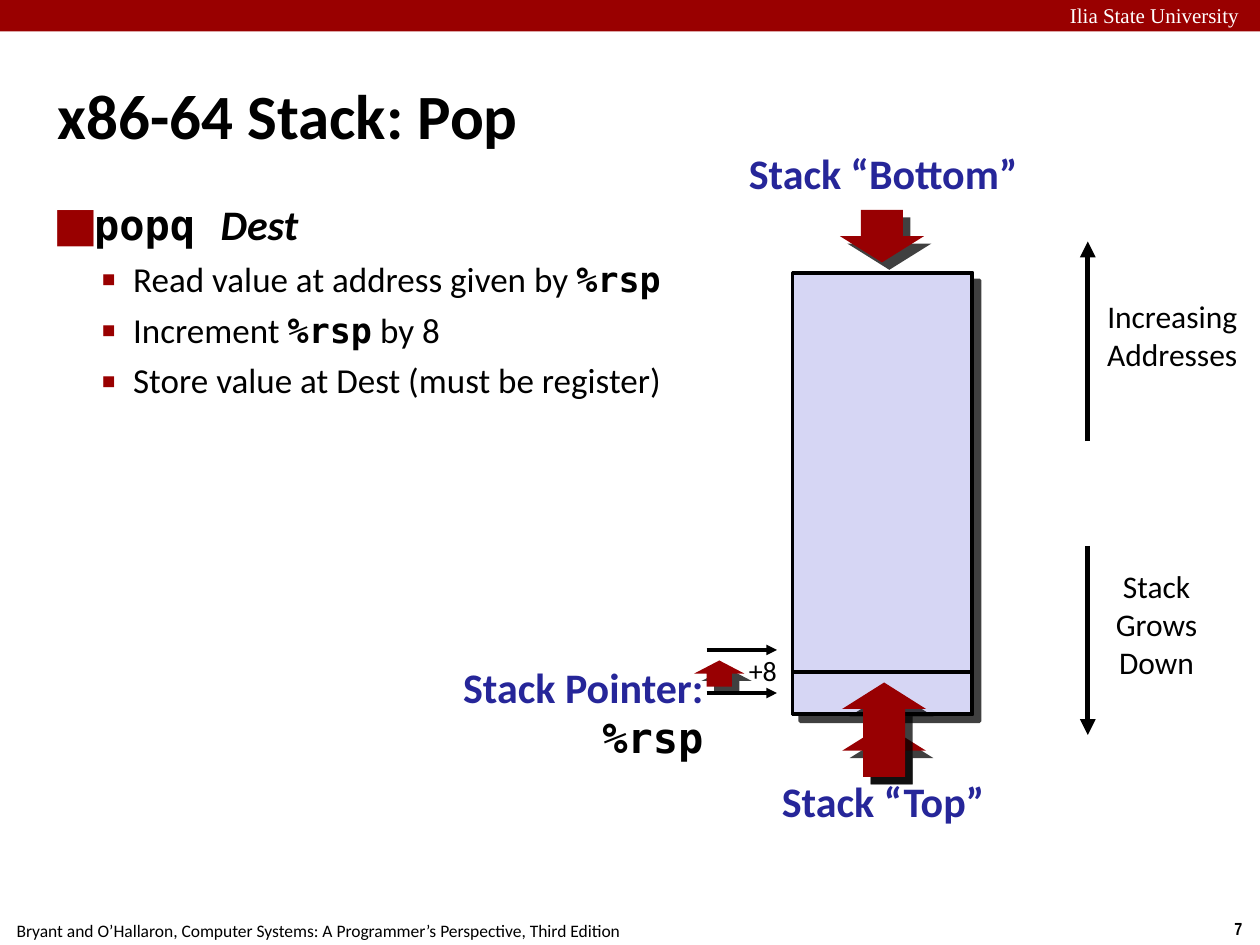
from dataclasses import dataclass

from lxml.etree import SubElement
from pptx import Presentation
from pptx.dml.color import RGBColor as RGB
from pptx.enum.shapes import MSO_CONNECTOR as CONN, MSO_SHAPE as SHAPE
from pptx.enum.text import MSO_ANCHOR as ANCHOR, PP_ALIGN as ALIGN
from pptx.oxml.ns import qn
from pptx.util import Inches, Pt


@dataclass(frozen=True)
class Theme:
    """Colours, fonts, type sizes and line widths."""
    black: str = "000000"
    white: str = "FFFFFF"
    banner: str = "990000"
    arrow: str = "980002"
    stack: str = "D6D6F4"
    label: str = "262699"
    sans: str = "Calibri"
    mono: str = "DejaVu Sans Mono"
    narrow: str = "Arial Narrow"
    serif: str = "Times New Roman"
    title: int = 36
    head: int = 24
    body: int = 20
    note: int = 18
    step: int = 16
    brand: int = 12
    foot: int = 10
    thin: int = 2
    thick: int = 3


T = Theme()


def font(size, name=T.sans, color=T.black, **extra):
    """Return a dict of font values."""
    return dict(size=Pt(size), name=name, color=color, **extra)


def grid(*cells):
    """Turn cells of a 120 by 90 grid into lengths."""
    return [Inches(c / 12) for c in cells]


def add_runs(p, runs):
    """Add (text, font values) pairs to a paragraph."""
    for text, values in runs:
        r = p.add_run()
        r.text = text
        for key, value in values.items():
            if key == "color":
                r.font.color.rgb = RGB.from_string(value)
            else:
                setattr(r.font, key, value)


def write(tf, paragraphs, align=ALIGN.CENTER, inset=(0, 0), anchor=ANCHOR.TOP):
    """Fill a text frame with paragraphs made of runs."""
    dx, dy = inset
    frame = dict(word_wrap=True, vertical_anchor=anchor,
                 margin_left=Inches(dx), margin_right=Inches(dx),
                 margin_top=Inches(dy), margin_bottom=Inches(dy))
    for key, value in frame.items():
        setattr(tf, key, value)
    for i, runs in enumerate(paragraphs):
        p = tf.add_paragraph() if i else tf.paragraphs[0]
        p.alignment = align
        add_runs(p, runs)


def add_text(shapes, cells, paragraphs, **layout):
    """Add a text box on the grid."""
    tf = shapes.add_textbox(*grid(*cells)).text_frame
    write(tf, paragraphs, **layout)
    return tf


def paint(sp, fill, line=None, shadow=False):
    """Set fill, outline and an optional hard shadow."""
    sp.shadow.inherit = False
    sp.fill.solid()
    sp.fill.fore_color.rgb = RGB.from_string(fill)
    if line:
        sp.line.color.rgb = RGB.from_string(line)
        sp.line.width = Pt(T.thin)
    else:
        sp.line.fill.background()
    if shadow:
        effects = sp.element.spPr.find(qn("a:effectLst"))
        outer = SubElement(effects, qn("a:outerShdw"), dist=str(Pt(6)),
                           dir="2700000", algn="ctr", rotWithShape="0")
        color = SubElement(outer, qn("a:srgbClr"), val=T.black)
        SubElement(color, qn("a:alpha"), val="75000")


def add_rect(shapes, cells, fill, **look):
    """Add a rectangle on the grid."""
    sp = shapes.add_shape(SHAPE.RECTANGLE, *grid(*cells))
    paint(sp, fill, **look)
    return sp


def add_line(shapes, ends, width=T.thin, arrow=True):
    """Add a straight line, by default with an arrowhead at its end."""
    sp = shapes.add_connector(CONN.STRAIGHT, *grid(*ends))
    sp.line.color.rgb = RGB.from_string(T.black)
    sp.line.width = Pt(width)
    if arrow:
        SubElement(sp.line._get_or_add_ln(), qn("a:tailEnd"), type="triangle")
    SubElement(sp.element.spPr, qn("a:effectLst"))


def add_block_arrow(shapes, cells, head=0.5, up=False):
    """Add a block arrow whose head takes the given share of its height."""
    x, y, w, h = grid(*cells)
    neck = 1 - head
    shares = [(0, neck), (0.25, neck), (0.25, 0), (0.75, 0),
              (0.75, neck), (1, neck), (0.5, 1)]
    points = [(int(x + w * a), int(y + h * b)) for a, b in shares]
    builder = shapes.build_freeform(*points[0])
    builder.add_line_segments(points[1:], close=True)
    sp = builder.convert_to_shape()
    sp.rotation = 180 if up else 0
    paint(sp, T.arrow, shadow=True)


def set_bullet(p, char, left, hang, percent, level=0):
    """Give a paragraph a coloured bullet and a hanging indent."""
    p.level = level
    pPr = p._p.get_or_add_pPr()
    pPr.set("marL", str(Inches(left)))
    pPr.set("indent", str(-Inches(hang)))
    SubElement(SubElement(pPr, qn("a:buClr")), qn("a:srgbClr"), val=T.banner)
    SubElement(pPr, qn("a:buSzPct"), val=str(percent * 1000))
    SubElement(pPr, qn("a:buFont"), typeface=T.mono)
    SubElement(pPr, qn("a:buChar"), char=char)


def add_frame(s):
    """Add banner, title and footer."""
    add_rect(s.shapes, (0, 0, 120.1, 3), T.banner)
    add_text(s.shapes, (101.9, 0.2, 21.4, 2.3),
             [[("Ilia State University", font(T.brand, T.serif, T.white))]], align=ALIGN.LEFT)
    title = s.shapes.title
    title.left, title.top, title.width, title.height = grid(5, 3.4, 110, 15)
    write(title.text_frame, [[("x86-64 Stack: Pop", font(T.title, bold=True))]],
          align=ALIGN.LEFT, inset=(0.04, 0.04), anchor=ANCHOR.MIDDLE)
    add_text(s.shapes, (115.9, 86.8, 4.1, 3.2),
             [[("7", font(T.foot, T.narrow, bold=True))]], inset=(0.1, 0.05))
    add_text(s.shapes, (-0.2, 87, 61, 3.2),
             [[("Bryant and O’Hallaron, Computer Systems: A Programmer’s Perspective, "
                "Third Edition", font(T.foot))]], inset=(0.1, 0.05))


def add_body(s):
    """Add the instruction and its steps."""
    plain, code = font(T.body), font(T.body, T.mono, bold=True)
    lines = [
        [("popq ", font(T.head, T.mono, bold=True)),
         ("Dest", font(T.head, bold=True, italic=True))],
        [("Read value at address given by ", plain), ("%rsp", code)],
        [("Increment ", plain), ("%rsp", code), (" by 8", plain)],
        [("Store value at Dest (must be register)", plain)],
    ]
    tf = add_text(s.shapes, (5, 18.4, 110, 71.3), lines, align=ALIGN.LEFT, inset=(0.04, 0.04))
    first, *steps = tf.paragraphs
    set_bullet(first, "■", 0.28, 0.28, 145)
    for p in steps:
        p.space_before = Pt(5)
        set_bullet(p, "▪", 0.6, 0.26, 80, level=1)


def add_stack(s):
    """Add the stack with its labels and arrows."""
    shapes = s.shapes
    label, note = font(T.head, color=T.label, bold=True), font(T.note)
    add_block_arrow(shapes, (80.2, 69, 8, 5), up=True)
    add_line(shapes, (67.3, 66, 74, 66))
    add_text(shapes, (33.6, 63, 33.4, 4.8),
             [[("Stack Pointer: ", label), ("%rsp", font(T.head, T.mono, bold=True))]],
             align=ALIGN.RIGHT)
    add_rect(shapes, (75.5, 26, 17.1, 42), T.stack, line=T.black, shadow=True)
    for ends, cells, words in (
            ((103.6, 52, 103.6, 70), (104.8, 54, 10.7, 12), ("Stack Grows", "Down")),
            ((103.6, 42, 103.6, 23), (104.9, 28.3, 13.5, 8.3), ("Increasing", "Addresses"))):
        add_line(shapes, ends, T.thick)
        write(add_rect(shapes, cells, T.white).text_frame, [[(w, note)] for w in words])
    add_text(shapes, (73.9, 73.9, 20.4, 5.9), [[("Stack “Top”", label)]])
    add_text(shapes, (70.7, 14, 26.8, 5.9), [[("Stack “Bottom”", label)]])
    add_block_arrow(shapes, (80, 20, 8, 5))
    add_rect(shapes, (75.5, 26, 17.1, 42), T.stack, line=T.black)
    add_line(shapes, (75.5, 64, 92.6, 64), arrow=False)
    step = shapes.add_group_shape().shapes
    add_line(step, (67.3, 61.9, 74, 61.9))
    add_text(step, (70.8, 61.8, 3.7, 4.2), [[("+8", font(T.step))]], inset=(0.04, 0.04))
    add_block_arrow(step, (66.1, 62.9, 4.8, 2.5), up=True)
    add_rect(shapes, (75.5, 64, 17.1, 4), T.stack, line=T.black)
    add_block_arrow(shapes, (80.2, 65, 8, 9), head=0.28, up=True)


def main():
    """Build and save the slide."""
    prs = Presentation()
    prs.slide_width, prs.slide_height = grid(120, 90)
    s = prs.slides.add_slide(prs.slide_layouts[5])
    add_stack(s)
    add_frame(s)
    add_body(s)
    prs.save("out.pptx")


if __name__ == "__main__":
    main()
